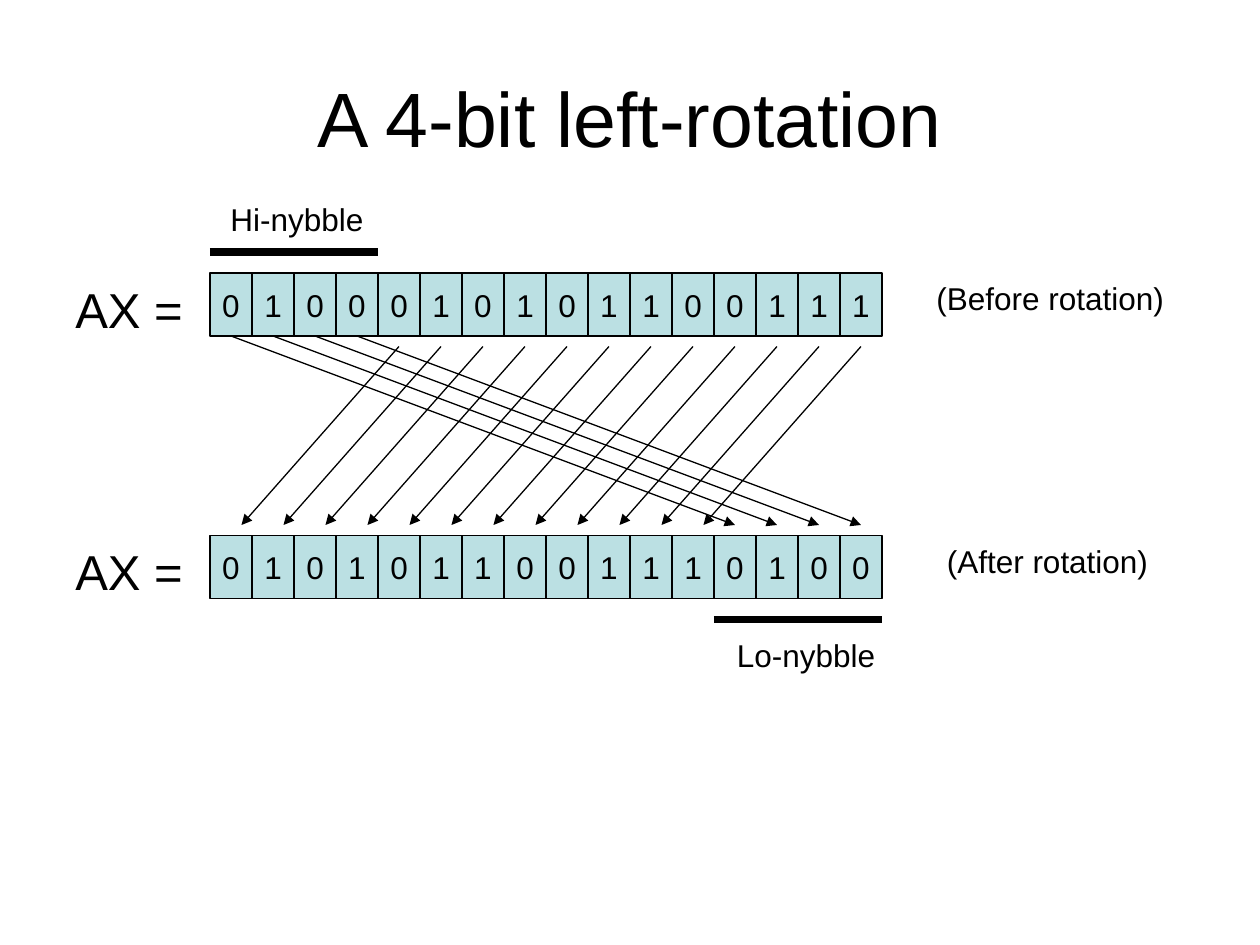
"""Build a slide that shows a 4-bit left-rotation of the AX register."""
from dataclasses import dataclass

import pptx
import pptx.dml.color
import pptx.enum.shapes
import pptx.enum.text
import pptx.oxml.ns
import pptx.util
from lxml import etree

Pt = pptx.util.Pt
ALIGN = pptx.enum.text.PP_ALIGN
ANCHOR = pptx.enum.text.MSO_ANCHOR


@dataclass(frozen=True)
class Theme:
    font: str = "Arial"
    ink: str = "000000"
    cell: str = "BBE0E3"
    title: int = 44
    register: int = 28
    body: int = 18
    thin: float = 0.75
    thick: float = 4.5


THEME = Theme()
BITS = "0100010101100111"
SHIFT = 4
CELL_WIDTH, CELL_HEIGHT = 24, 36
ROW_LEFT, BEFORE_TOP, AFTER_TOP = 120, 156, 306
ARROW_START, ARROW_END = 198, 300


def color(value):
    return pptx.dml.color.RGBColor.from_string(value)


def write(shape, text, size, align, anchor, wrap=False):
    frame = shape.text_frame
    frame.word_wrap = wrap
    frame.vertical_anchor = anchor
    para = frame.paragraphs[0]
    para.alignment = align
    span = para.add_run()
    span.text = text
    span.font.name = THEME.font
    span.font.size = Pt(size)
    span.font.color.rgb = color(THEME.ink)


def add_title(page, text):
    box = page.shapes.add_textbox(Pt(36), Pt(21.6), Pt(648), Pt(90))
    write(box, text, THEME.title, ALIGN.CENTER, ANCHOR.MIDDLE, wrap=True)


def add_label(page, text, left, top, width, height=29, size=THEME.body):
    box = page.shapes.add_textbox(Pt(left), Pt(top), Pt(width), Pt(height))
    write(box, text, size, ALIGN.LEFT, ANCHOR.TOP)


def cell_left(index):
    return ROW_LEFT + index * CELL_WIDTH


def cell_middle(index):
    return cell_left(index) + CELL_WIDTH / 2


def add_cell(page, bit, left, top):
    cell = page.shapes.add_shape(
        pptx.enum.shapes.MSO_SHAPE.RECTANGLE,
        Pt(left), Pt(top), Pt(CELL_WIDTH), Pt(CELL_HEIGHT))
    cell.shadow.inherit = False
    cell.fill.solid()
    cell.fill.fore_color.rgb = color(THEME.cell)
    cell.line.color.rgb = color(THEME.ink)
    cell.line.width = Pt(THEME.thin)
    write(cell, bit, THEME.body, ALIGN.CENTER, ANCHOR.MIDDLE)
    return cell


def add_register(page, bits, top):
    add_label(page, "AX =", 36, top, 83.5, 41, THEME.register)
    return [add_cell(page, bit, cell_left(index), top)
            for index, bit in enumerate(bits)]


def add_line(page, start, end, width):
    line = page.shapes.add_connector(
        pptx.enum.shapes.MSO_CONNECTOR.STRAIGHT,
        *(Pt(value) for value in (*start, *end)))
    line.line.color.rgb = color(THEME.ink)
    line.line.width = Pt(width)
    etree.SubElement(line._element.spPr, pptx.oxml.ns.qn("a:effectLst"))
    return line


def add_arrow(page, start, end):
    arrow = add_line(page, start, end, THEME.thin)
    stroke = arrow.line._get_or_add_ln()
    etree.SubElement(stroke, pptx.oxml.ns.qn("a:tailEnd"), type="triangle")
    return arrow


def add_rotation_arrows(page, cells):
    for index in range(SHIFT, len(cells)):
        target = cell_middle(index - SHIFT) + 6
        add_arrow(page, (cell_middle(index), ARROW_START), (target, ARROW_END))
    for index in range(SHIFT):
        target = cell_middle(index + len(cells) - SHIFT)
        arrow = add_arrow(page, (cell_middle(index), BEFORE_TOP + CELL_HEIGHT),
                          (target, ARROW_END))
        arrow.begin_connect(cells[index], 2)


def add_nybble_bar(page, first, top):
    add_line(page, (cell_left(first), top), (cell_left(first + SHIFT), top),
             THEME.thick)


def main():
    deck = pptx.Presentation()
    deck.slide_width, deck.slide_height = Pt(720), Pt(540)
    page = deck.slides.add_slide(deck.slide_layouts[6])
    add_title(page, "A 4-bit left-rotation")
    cells = add_register(page, BITS, BEFORE_TOP)
    add_register(page, BITS[SHIFT:] + BITS[:SHIFT], AFTER_TOP)
    add_label(page, "(Before rotation)", 528, BEFORE_TOP, 147)
    add_label(page, "(After rotation)", 534, AFTER_TOP, 132)
    add_rotation_arrows(page, cells)
    add_nybble_bar(page, 0, 144)
    add_label(page, "Hi-nybble", 124.6, 111, 93)
    add_nybble_bar(page, len(BITS) - SHIFT, 354)
    add_label(page, "Lo-nybble", 414, 360, 96)
    deck.save("out.pptx")


if __name__ == "__main__":
    main()
